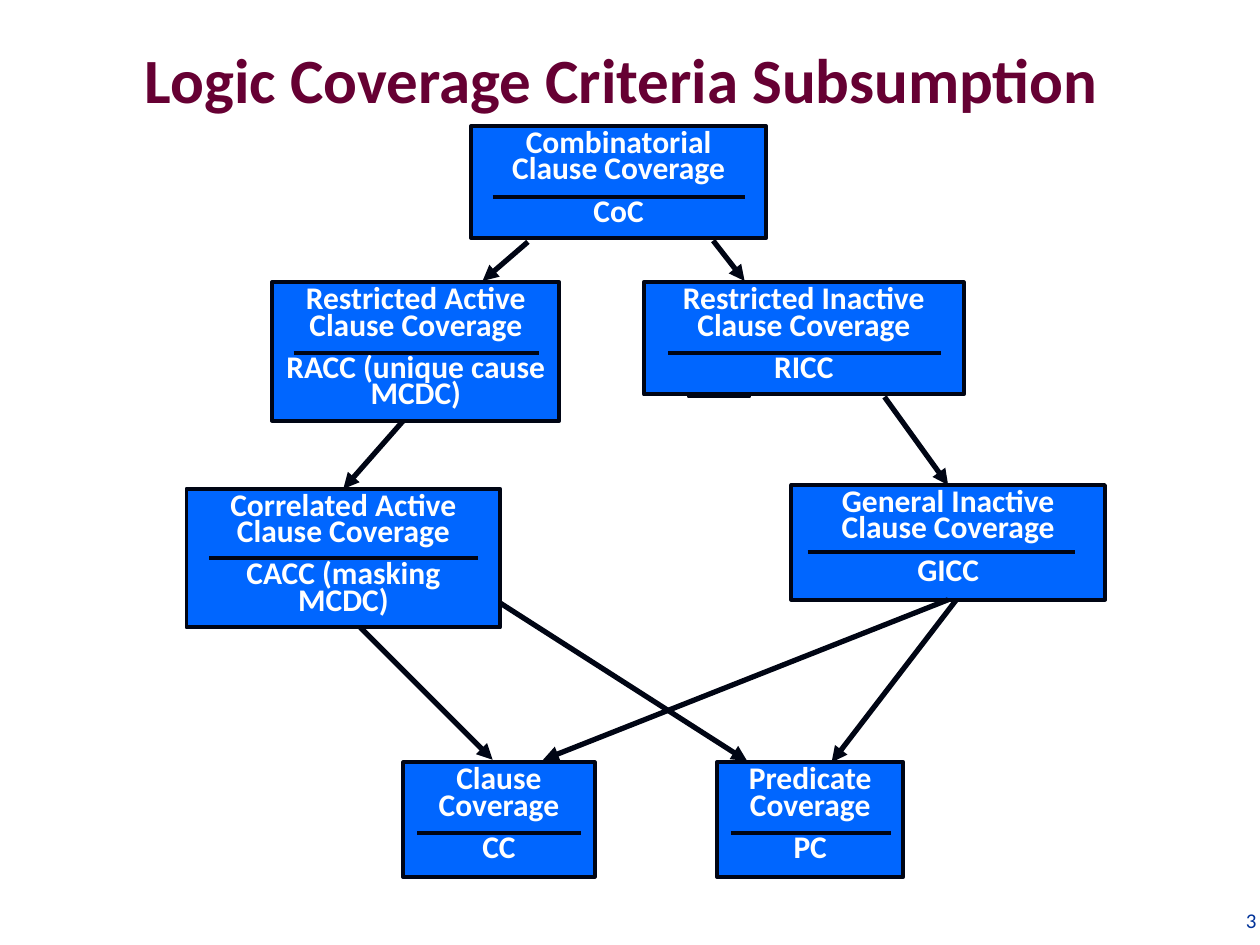
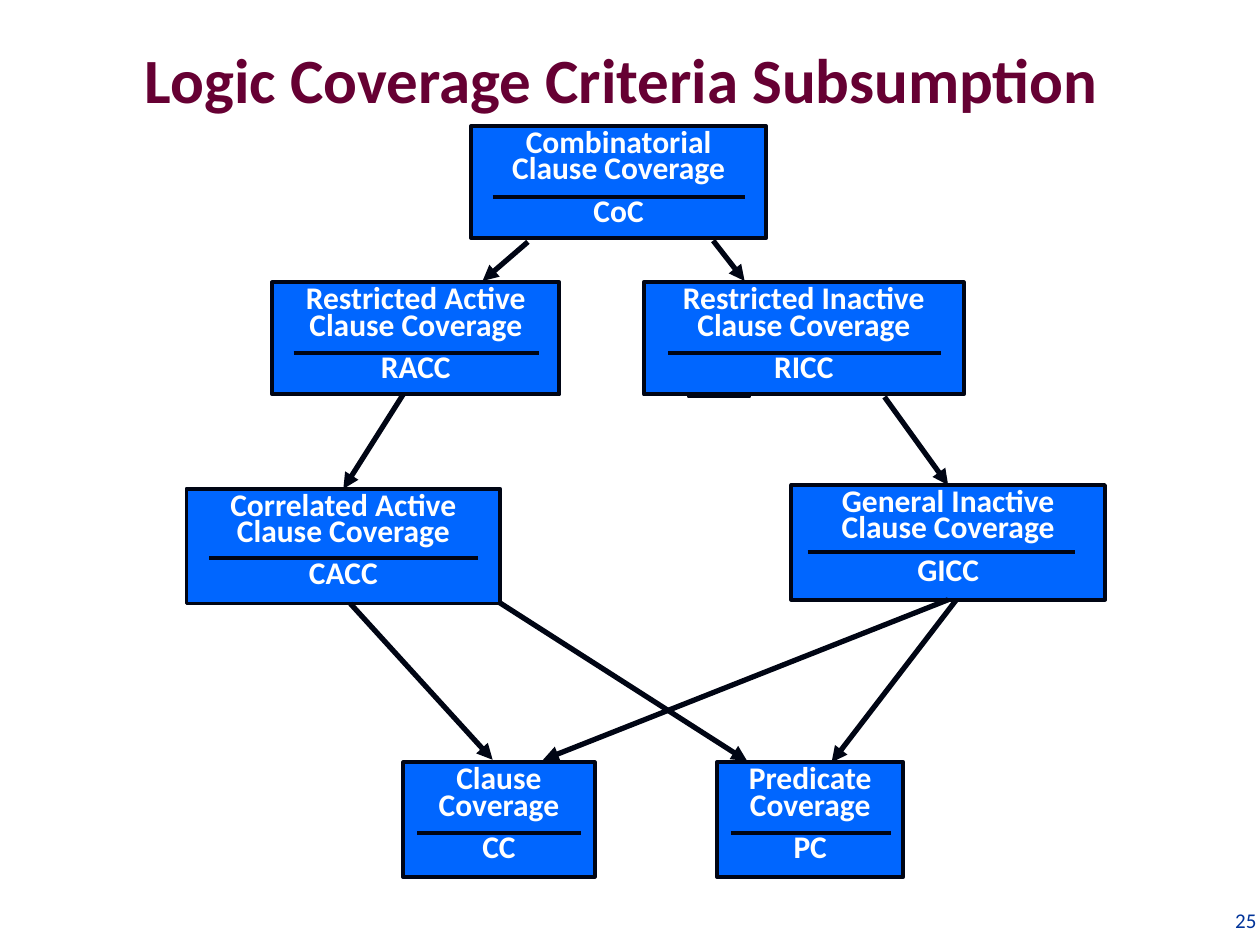
from dataclasses import dataclass

from lxml.etree import SubElement
from pptx import Presentation
from pptx.dml.color import RGBColor
from pptx.enum.shapes import MSO_CONNECTOR, MSO_SHAPE
from pptx.enum.text import MSO_ANCHOR, MSO_AUTO_SIZE, PP_ALIGN
from pptx.oxml.ns import qn
from pptx.util import Pt

EMU_PER_PX = 9144
TOP, BOTTOM = 0, 2


@dataclass(frozen=True)
class Theme:
    """Colours and type sizes shared by the slides."""

    font: str = "Calibri"
    title_color: RGBColor = RGBColor(0x66, 0x00, 0x33)
    number_color: RGBColor = RGBColor(0x00, 0x33, 0x99)
    box_fill: RGBColor = RGBColor(0x00, 0x66, 0xFF)
    box_text: RGBColor = RGBColor(0xFF, 0xFF, 0xFF)
    ink: RGBColor = RGBColor(0x00, 0x05, 0x14)
    title_size: int = 36
    box_size: int = 18
    number_size: int = 12
    tab_line: float = 1
    box_line: float = 2.25
    arrow_line: float = 3


@dataclass(frozen=True)
class Criterion:
    """A box with a name, a rule below it and a short form."""

    name: str
    short: str
    box: tuple
    rule: tuple

    @property
    def bottom(self):
        """Return the lower edge of the box."""
        return self.box[1] + self.box[3]


THEME = Theme()
PAGE_SIZE = (1000, 750)
TITLE_BOX = (28, 11, 942, 103)
NUMBER_BOX = (790, 710, 217, 35)
TAB_BOX = (546, 280, 49, 35)

OUTER_CRITERIA = {
    "CC": Criterion("Clause Coverage", "CC", (320, 605, 152, 91), (11, 130, 56)),
    "PC": Criterion("Predicate Coverage", "PC", (569, 605, 148, 91), (11, 127, 56)),
    "CoC": Criterion("Combinatorial Clause Coverage", "CoC", (374, 100, 234, 89), (17, 200, 56)),
}
INACTIVE_CRITERIA = {
    "RICC": Criterion("Restricted Inactive Clause Coverage", "RICC", (511, 224, 254, 89), (19, 217, 56)),
    "GICC": Criterion("General Inactive Clause Coverage", "GICC", (628, 385, 249, 91), (13, 212, 53)),
}
REAR_ARROWS = [
    ((779, 450), (660, 605)),
    ((335, 439), (593, 604)),
    ((566, 191), (591, 223)),
]
FRONT_ARROWS = [
    ((419, 192), (383, 223)),
    ((702, 315), ("GICC", TOP)),
    (("GICC", BOTTOM), (431, 603)),
]


def active_criteria(racc, cacc, racc_height, cacc_height):
    """Return the two active criteria with the given short forms and heights."""
    return {
        "RACC": Criterion("Restricted Active Clause Coverage", racc, (216, 224, 228, racc_height), (17, 195, 56)),
        "CACC": Criterion("Correlated Active Clause Coverage", cacc, (148, 388, 249, cacc_height), (18, 213, 55)),
    }


def active_arrows(active, clause_start_x):
    """Return the arrows that leave the lower edges of the active criteria."""
    return [
        ((320, active["RACC"].bottom), ("CACC", TOP)),
        ((clause_start_x, active["CACC"].bottom), (391, 603)),
    ]


def scale(*lengths):
    """Turn px into EMU."""
    return [length * EMU_PER_PX for length in lengths]


def add_span(para, text, size, color, bold=False):
    """Add one formatted run to a paragraph."""
    span = para.add_run()
    span.text = text
    span.font.name = THEME.font
    span.font.size = Pt(size)
    span.font.bold = bold
    span.font.color.rgb = color


def add_line(page, start, end, width, arrow=False):
    """Draw a straight line, with an arrowhead if asked."""
    line = page.shapes.add_connector(MSO_CONNECTOR.STRAIGHT, *scale(*start, *end))
    line.line.color.rgb = THEME.ink
    line.line.width = Pt(width)
    if arrow:
        SubElement(line.line._get_or_add_ln(), qn("a:tailEnd"), type="triangle")
    SubElement(line._element.spPr, qn("a:effectLst"))
    return line


def add_rectangle(page, box, width):
    """Draw an outlined rectangle without shadow or fill."""
    rectangle = page.shapes.add_shape(MSO_SHAPE.RECTANGLE, *scale(*box))
    rectangle.shadow.inherit = False
    rectangle.fill.background()
    rectangle.line.color.rgb = THEME.ink
    rectangle.line.width = Pt(width)
    return rectangle


def add_criterion(page, criterion):
    """Draw a criterion box and the rule between its name and short form."""
    left, top, _, _ = criterion.box
    inset, length, drop = criterion.rule
    rectangle = add_rectangle(page, criterion.box, THEME.box_line)
    rectangle.fill.solid()
    rectangle.fill.fore_color.rgb = THEME.box_fill
    frame = rectangle.text_frame
    frame.word_wrap = True
    frame.auto_size = MSO_AUTO_SIZE.SHAPE_TO_FIT_TEXT
    frame.vertical_anchor = MSO_ANCHOR.TOP
    name_para, short_para = frame.paragraphs[0], frame.add_paragraph()
    short_para.space_before = Pt(THEME.box_size / 2)
    for para, text in ((name_para, criterion.name), (short_para, criterion.short)):
        para.alignment = PP_ALIGN.CENTER
        para.line_spacing = 0.7
        add_span(para, text, THEME.box_size, THEME.box_text, bold=True)
    start = (left + inset, top + drop)
    add_line(page, start, (start[0] + length, start[1]), THEME.box_line)
    return rectangle


def add_criteria(page, criteria):
    """Draw several criteria and return their boxes by key."""
    return {key: add_criterion(page, criterion) for key, criterion in criteria.items()}


def add_arrow(page, start, end, boxes):
    """Draw an arrow whose ends are points or sides of boxes."""
    points = [(0, 0) if end_point[0] in boxes else end_point for end_point in (start, end)]
    arrow = add_line(page, *points, THEME.arrow_line, arrow=True)
    for end_point, connect in ((start, arrow.begin_connect), (end, arrow.end_connect)):
        if end_point[0] in boxes:
            key, side = end_point
            connect(boxes[key], side)


def add_diagram(page, active, clause_start_x):
    """Draw the subsumption graph."""
    add_rectangle(page, TAB_BOX, THEME.tab_line)
    boxes = add_criteria(page, OUTER_CRITERIA)
    for start, end in REAR_ARROWS:
        add_arrow(page, start, end, boxes)
    boxes.update(add_criteria(page, active | INACTIVE_CRITERIA))
    for start, end in FRONT_ARROWS + active_arrows(active, clause_start_x):
        add_arrow(page, start, end, boxes)


def add_title(page, text, box):
    """Place and format the title placeholder."""
    title = page.shapes.title
    title.left, title.top, title.width, title.height = scale(*box)
    frame = title.text_frame
    frame.auto_size = MSO_AUTO_SIZE.NONE
    frame.vertical_anchor = MSO_ANCHOR.MIDDLE
    para = frame.paragraphs[0]
    para.alignment = PP_ALIGN.CENTER
    add_span(para, text, THEME.title_size, THEME.title_color, bold=True)


def add_number(page, number, box):
    """Write the page number in its corner."""
    frame = page.shapes.add_textbox(*scale(*box)).text_frame
    frame.word_wrap = True
    frame.vertical_anchor = MSO_ANCHOR.BOTTOM
    para = frame.paragraphs[0]
    para.alignment = PP_ALIGN.RIGHT
    add_span(para, str(number), THEME.number_size, THEME.number_color)


def add_page(deck, number, active, clause_start_x):
    """Add one subsumption slide."""
    page = deck.slides.add_slide(deck.slide_layouts[5])
    add_number(page, number, NUMBER_BOX)
    add_title(page, "Logic Coverage Criteria Subsumption ", TITLE_BOX)
    add_diagram(page, active, clause_start_x)


def main():
    """Build and save the deck."""
    deck = Presentation()
    deck.slide_width, deck.slide_height = scale(*PAGE_SIZE)
    detailed = active_criteria("RACC (unique cause MCDC)", "CACC (masking MCDC)", 110, 110)
    add_page(deck, 3, detailed, 286)
    add_page(deck, 25, active_criteria("RACC", "CACC", 89, 91), 278)
    deck.save("out.pptx")


if __name__ == "__main__":
    main()
